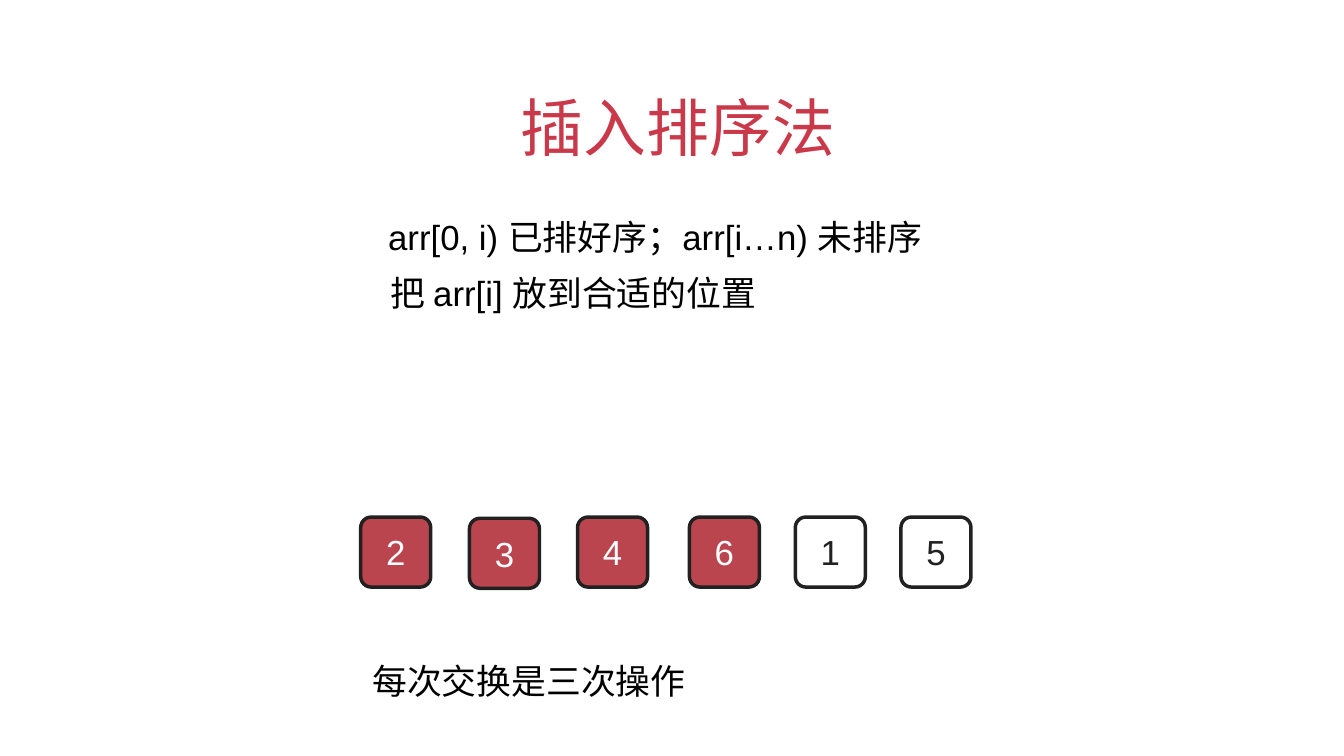
from dataclasses import dataclass

from lxml.etree import SubElement
from pptx import Presentation
from pptx.dml.color import RGBColor
from pptx.enum.shapes import MSO_SHAPE
from pptx.enum.text import MSO_ANCHOR, PP_ALIGN
from pptx.oxml.ns import qn
from pptx.util import Cm, Pt


@dataclass(frozen=True)
class Theme:
    red: RGBColor = RGBColor(0xC9, 0x39, 0x4A)
    fill: RGBColor = RGBColor(0xBA, 0x45, 0x4E)
    dark: RGBColor = RGBColor(0x21, 0x21, 0x21)
    black: RGBColor = RGBColor(0, 0, 0)
    white: RGBColor = RGBColor(255, 255, 255)
    title: Pt = Pt(74)
    body: Pt = Pt(41)
    line: Pt = Pt(4.12)
    latin: str = "Arial"
    han: str = "Noto Sans CJK TC"


@dataclass(frozen=True)
class Label:
    left: float
    top: float
    width: float
    height: float
    texts: tuple[str, ...]
    size: Pt
    color: RGBColor
    hang: float = 0
    space: float = 1


@dataclass(frozen=True)
class Tile:
    value: str
    left: float
    top: float = 21.49
    done: bool = True


THEME = Theme()
SIDE = 2.91
FRAME = {
    "margin_left": 0,
    "margin_right": 0,
    "margin_top": Cm(0.05),
    "margin_bottom": 0,
    "word_wrap": True,
}
LABELS = (
    Label(21.64, 3.63, 13.69, 3.2, ("插⼊排序法",), THEME.title, THEME.red),
    Label(16.13, 8.28, 22.38, 4.8,
          ("arr[0, i) ", "已排好序；", "arr[i…n) ", "未排序 把 ",
           "arr[i] ", "放到合适的位置"),
          THEME.body, THEME.black, 0.1, 1.36),
    Label(15.47, 27.36, 13.16, 1.83, ("每次交换是三次操作",),
          THEME.body, THEME.black),
)
TILES = (
    Tile("2", 14.99),
    Tile("3", 19.51, 21.54),
    Tile("4", 24),
    Tile("6", 28.65),
    Tile("1", 33.05, done=False),
    Tile("5", 37.44, done=False),
)


def apply(target, values: dict) -> None:
    for name, value in values.items():
        setattr(target, name, value)


def add_run(para, text: str, size: Pt, color: RGBColor) -> None:
    run = para.add_run()
    run.text = text
    face = THEME.latin if text.isascii() or text.startswith("arr") else THEME.han
    apply(run.font, {"size": size, "name": face})
    run.font.color.rgb = color
    SubElement(run.font._element, qn("a:ea")).set("typeface", THEME.han)


def add_label(slide, label: Label) -> None:
    spots = (label.left, label.top, label.width, label.height)
    frame = slide.shapes.add_textbox(*map(Cm, spots)).text_frame
    apply(frame, FRAME)
    para = frame.paragraphs[0]
    para.line_spacing = label.space
    if label.hang:
        props = para._p.get_or_add_pPr()
        props.set("marL", str(Cm(label.hang)))
        props.set("indent", str(-Cm(label.hang)))
    for text in label.texts:
        add_run(para, text, label.size, label.color)


def add_tile(slide, tile: Tile) -> None:
    spots = (tile.left, tile.top, SIDE, SIDE)
    shape = slide.shapes.add_shape(MSO_SHAPE.ROUNDED_RECTANGLE, *map(Cm, spots))
    shape.shadow.inherit = False
    shape.adjustments[0] = 0.15
    if tile.done:
        shape.fill.solid()
        shape.fill.fore_color.rgb = THEME.fill
    else:
        shape.fill.background()
    shape.line.width = THEME.line
    shape.line.color.rgb = THEME.dark
    frame = shape.text_frame
    apply(frame, FRAME | {"margin_top": 0, "vertical_anchor": MSO_ANCHOR.MIDDLE})
    para = frame.paragraphs[0]
    para.alignment = PP_ALIGN.CENTER
    add_run(para, tile.value, THEME.body, THEME.white if tile.done else THEME.dark)


def main() -> None:
    deck = Presentation()
    apply(deck, {"slide_width": Cm(55.85), "slide_height": Cm(31.42)})
    slide = deck.slides.add_slide(deck.slide_layouts[6])
    for label in LABELS:
        add_label(slide, label)
    for tile in TILES:
        add_tile(slide, tile)
    deck.save("out.pptx")


if __name__ == "__main__":
    main()
